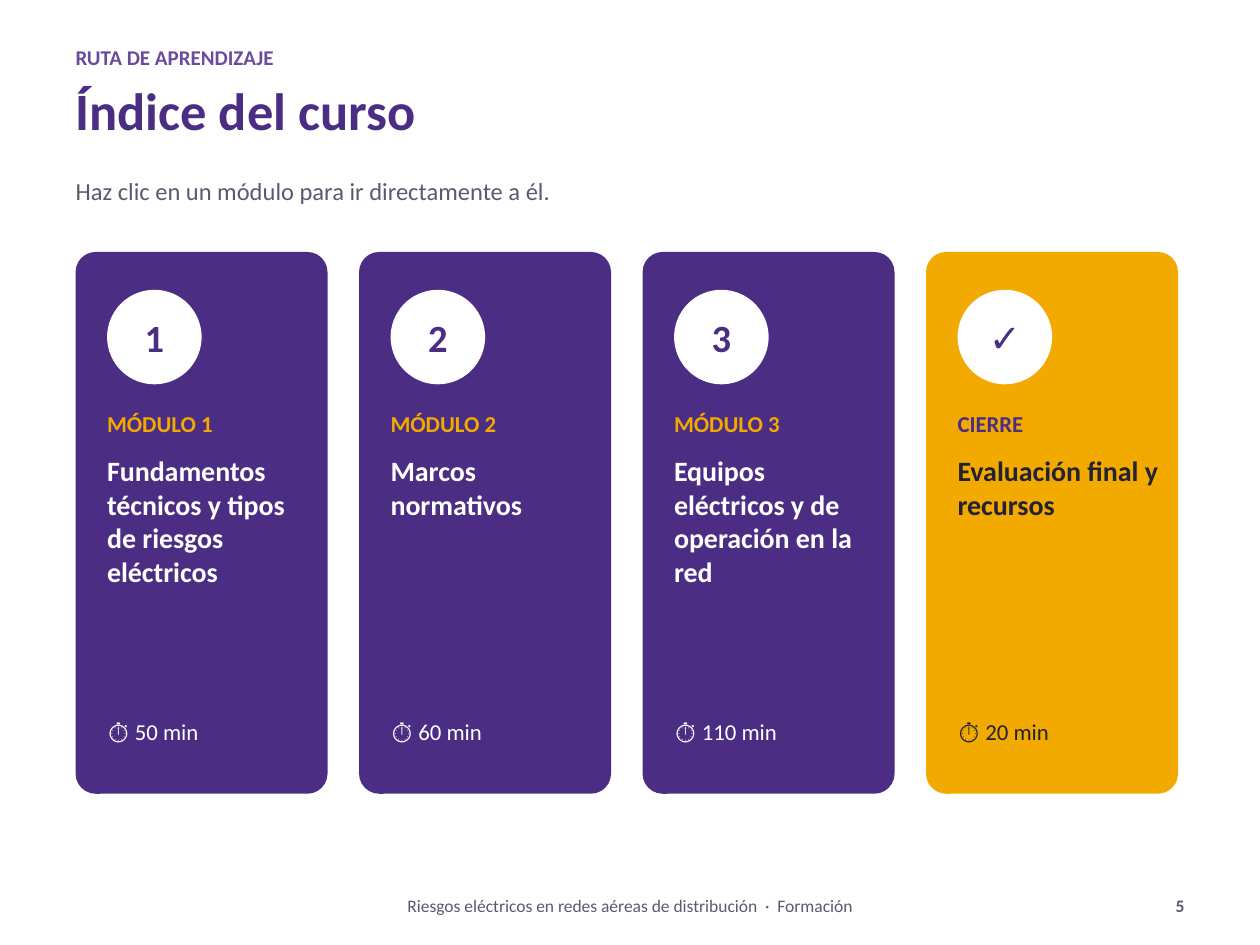
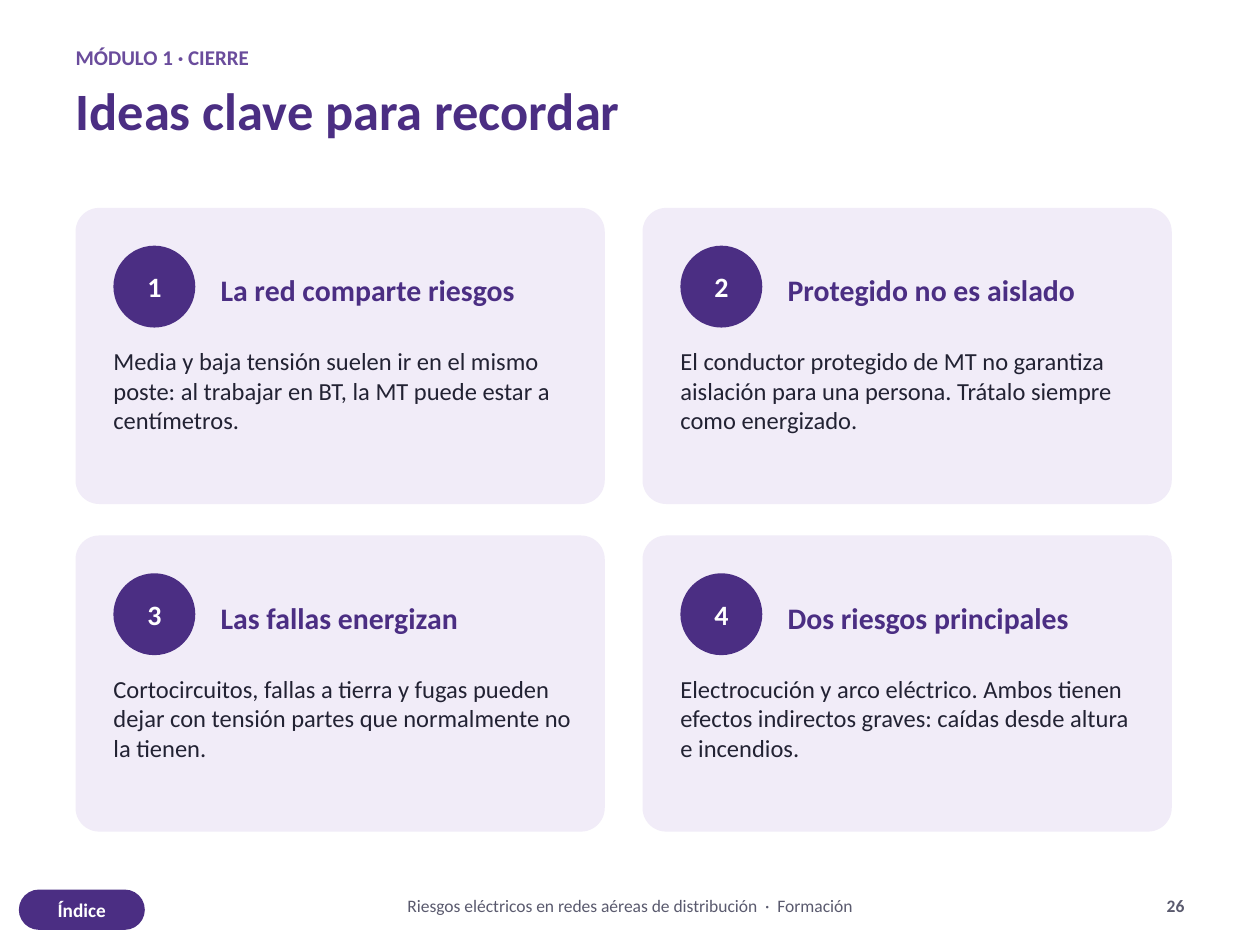
import pptx
import pptx.util
import pptx.dml.color
import pptx.enum.shapes
import pptx.enum.text
from dataclasses import dataclass

Inches = pptx.util.Inches
Shapes = pptx.enum.shapes.MSO_SHAPE
Align = pptx.enum.text.PP_ALIGN
Anchor = pptx.enum.text.MSO_ANCHOR


@dataclass(frozen=True)
class Theme:
    font: str = "Calibri"
    purple: str = "4B2E83"
    violet: str = "6A4C9C"
    lilac: str = "F1ECF8"
    amber: str = "F2A900"
    ink: str = "222233"
    gray: str = "5A5A6E"
    white: str = "FFFFFF"
    title: int = 30
    module_number: int = 22
    idea_title: int = 17
    card_title: int = 16
    body: int = 14
    label: int = 13
    kicker: int = 12
    button: int = 11
    footer: int = 10


theme = Theme()


def write(box, text, size, color, bold=False, align=Align.LEFT, anchor=Anchor.TOP):
    """Put one styled paragraph in a shape, without inner margins."""
    frame = box.text_frame
    frame.text = text
    frame.word_wrap = True
    frame.auto_size = pptx.enum.text.MSO_AUTO_SIZE.NONE
    frame.vertical_anchor = anchor
    frame.margin_left = frame.margin_right = 0
    frame.margin_top = frame.margin_bottom = 0
    para = frame.paragraphs[0]
    para.alignment = align
    font = para.runs[0].font
    font.name, font.size, font.bold = theme.font, pptx.util.Pt(size), bold
    font.color.rgb = pptx.dml.color.RGBColor.from_string(color)


def add_box(page, left, top, width, height, kind=None, fill=None, corner=None):
    """Add a filled shape, or a text box when no kind is given."""
    place = [Inches(value) for value in (left, top, width, height)]
    if kind is None:
        return page.shapes.add_textbox(*place)
    shape = page.shapes.add_shape(kind, *place)
    shape.shadow.inherit = False
    shape.fill.solid()
    shape.fill.fore_color.rgb = pptx.dml.color.RGBColor.from_string(fill)
    shape.line.fill.background()
    if corner is not None:
        shape.adjustments[0] = corner
    return shape


deck = pptx.Presentation()
deck.slide_width, deck.slide_height = Inches(10), Inches(7.5)
margin = 0.6
course = "Riesgos eléctricos en redes aéreas de distribución  ·  Formación"

# Shared heading and footer
headings = [
    ("RUTA DE APRENDIZAJE", "Índice del curso", 5),
    ("MÓDULO 1 · CIERRE", "Ideas clave para recordar", 26),
]
pages = []
for kicker, title, number in headings:
    page = deck.slides.add_slide(deck.slide_layouts[5])
    pages.append(page)
    write(add_box(page, margin, 0.35, 8.8, 0.3), kicker, theme.kicker, theme.violet, bold=True)
    heading = page.shapes.title
    heading.left, heading.top = Inches(margin), Inches(0.62)
    heading.width, heading.height = Inches(8.8), Inches(0.75)
    write(heading, title, theme.title, theme.purple, bold=True)
    write(add_box(page, 2, 7.1, 6, 0.28), course, theme.footer, theme.gray, align=Align.CENTER)
    write(add_box(page, 8.4, 7.1, 1, 0.28), str(number), theme.footer, theme.gray,
          bold=True, align=Align.RIGHT)
index_page, ideas_page = pages

# Course index: four module cards in a row
write(add_box(index_page, margin, 1.4, 8.8, 0.35),
      "Haz clic en un módulo para ir directamente a él.", theme.body, theme.gray)

module_colors = (theme.purple, theme.amber, theme.white)
closing_colors = (theme.amber, theme.purple, theme.ink)
modules = [
    ("1", "MÓDULO 1", "Fundamentos técnicos y tipos de riesgos eléctricos", 50, module_colors),
    ("2", "MÓDULO 2", "Marcos normativos", 60, module_colors),
    ("3", "MÓDULO 3", "Equipos eléctricos y de operación en la red", 110, module_colors),
    ("✓", "CIERRE", "Evaluación final y recursos", 20, closing_colors),
]
for column, (mark, label, topic, minutes, colors) in enumerate(modules):
    card_fill, label_color, text_color = colors
    left = margin + column * 2.25
    inner = left + 0.25
    add_box(index_page, left, 2, 2, 4.3, Shapes.ROUNDED_RECTANGLE, card_fill, 0.08)
    badge = add_box(index_page, inner, 2.3, 0.75, 0.75, Shapes.OVAL, theme.white)
    write(badge, mark, theme.module_number, theme.purple, True, Align.CENTER, Anchor.MIDDLE)
    write(add_box(index_page, inner, 3.25, 1.6, 0.35), label, theme.label, label_color, bold=True)
    write(add_box(index_page, inner, 3.6, 1.6, 1.9), topic, theme.card_title, text_color, bold=True)
    write(add_box(index_page, inner, 5.7, 1.6, 0.35), f"⏱ {minutes} min", theme.label, text_color)

# Key ideas: two by two cards
ideas = [
    ("La red comparte riesgos",
     "Media y baja tensión suelen ir en el mismo poste: al trabajar en BT, "
     "la MT puede estar a centímetros."),
    ("Protegido no es aislado",
     "El conductor protegido de MT no garantiza aislación para una persona. "
     "Trátalo siempre como energizado."),
    ("Las fallas energizan",
     "Cortocircuitos, fallas a tierra y fugas pueden dejar con tensión partes "
     "que normalmente no la tienen."),
    ("Dos riesgos principales",
     "Electrocución y arco eléctrico. Ambos tienen efectos indirectos graves: "
     "caídas desde altura e incendios."),
]
for position, (idea, explanation) in enumerate(ideas):
    row, column = divmod(position, 2)
    left, top = margin + column * 4.5, 1.65 + row * 2.6
    inner = left + 0.3
    add_box(ideas_page, left, top, 4.2, 2.35, Shapes.ROUNDED_RECTANGLE, theme.lilac, 0.08)
    badge = add_box(ideas_page, inner, top + 0.3, 0.65, 0.65, Shapes.OVAL, theme.purple)
    write(badge, str(position + 1), theme.card_title, theme.white, True,
          Align.CENTER, Anchor.MIDDLE)
    write(add_box(ideas_page, left + 1.15, top + 0.3, 2.85, 0.7), idea,
          theme.idea_title, theme.purple, bold=True, anchor=Anchor.MIDDLE)
    write(add_box(ideas_page, inner, top + 1.1, 3.65, 1.2), explanation, theme.body, theme.ink)

# Index button
button = add_box(ideas_page, 0.15, 7.06, 1, 0.32, Shapes.ROUNDED_RECTANGLE, theme.purple, 0.5)
write(button, "Índice", theme.button, theme.white, True, Align.CENTER, Anchor.MIDDLE)

deck.save("out.pptx")
